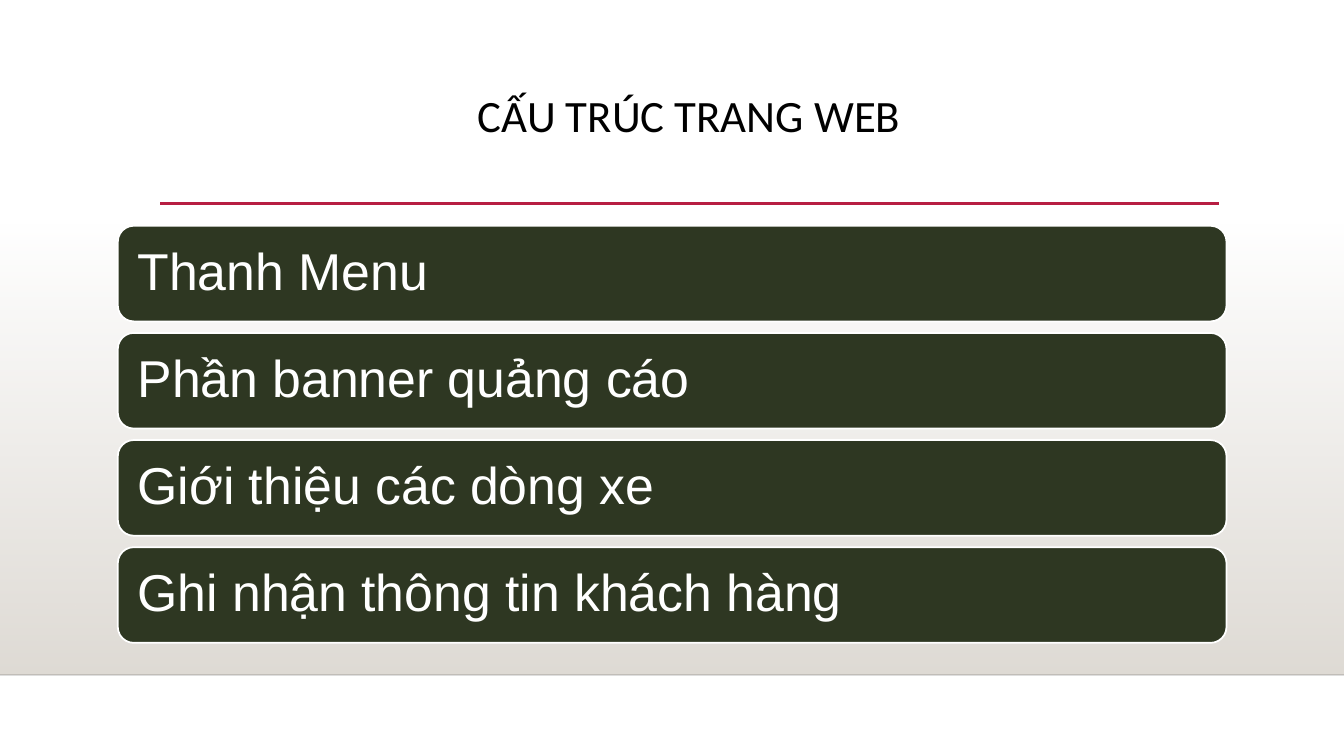
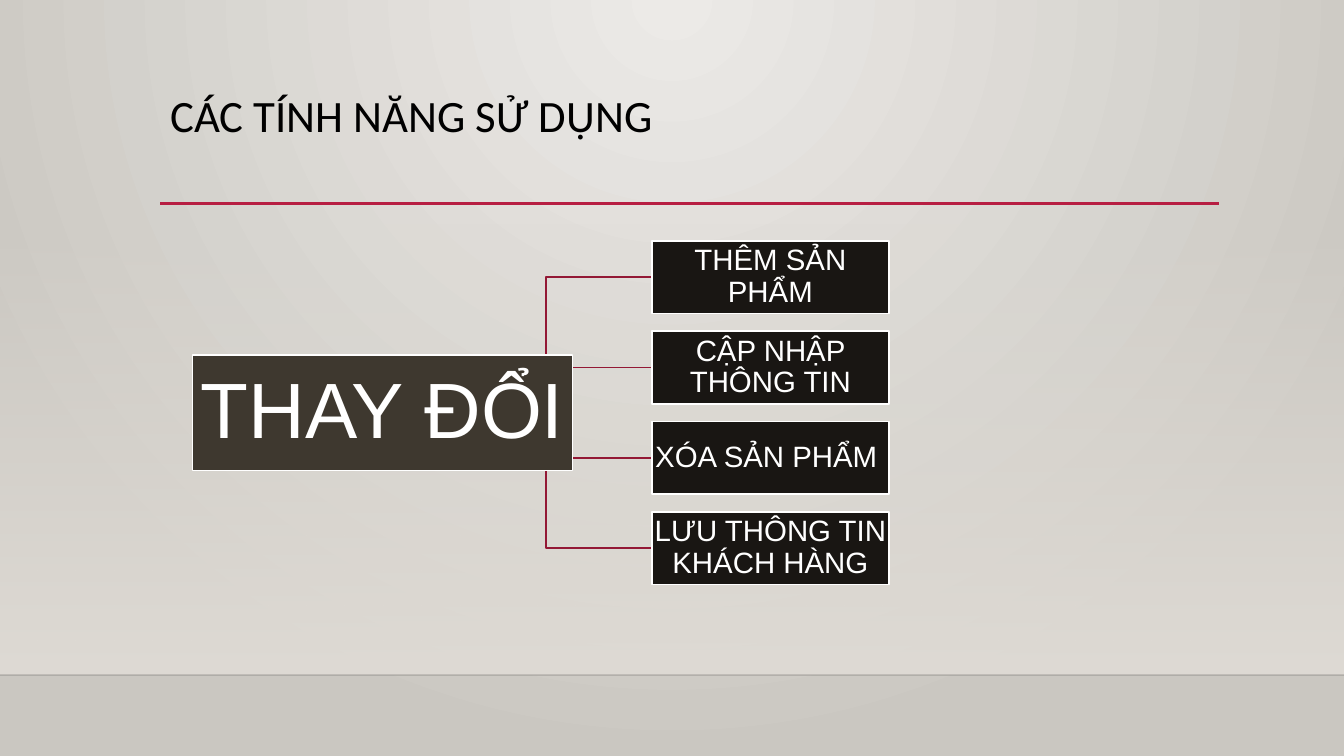
import pptx
import pptx.util
import pptx.dml.color
import pptx.enum.shapes
import pptx.enum.text
import lxml.etree
from pptx.util import Cm

COLORS = {
    "white": "FFFFFF",
    "black": "000000",
    "horizon": "000001",
    "floor": "DFDBD5",
    "accent": "B71E42",
    "branch": "931835",
    "bar": "2E3722",
    "root": "3E382F",
    "leaf": "191613",
    "glow": "ECEAE7",
    "edge": "CAC7C1",
}
SLIDE_WIDTH, SLIDE_HEIGHT = 33.87, 19.05
TITLE_BOX = (4.04, 2.24, 26.67, 2.92)
FLOOR_BOX = (0, 5.61, SLIDE_WIDTH, 11.4)
BARS_BOX = (2.97, 5.69, 27.94, 10.51)
TREE_BOX = (4.85, 6.07, 17.55, 8.66)

ALIGN = pptx.enum.text.PP_ALIGN
ANCHOR = pptx.enum.text.MSO_ANCHOR
SHAPE = pptx.enum.shapes.MSO_SHAPE
CONNECTOR = pptx.enum.shapes.MSO_CONNECTOR
A = "{http://schemas.openxmlformats.org/drawingml/2006/main}"


def rgb(name):
    return pptx.dml.color.RGBColor.from_string(COLORS[name])


def set_alpha(color, percent):
    lxml.etree.SubElement(color, A + "alpha", val=str(percent * 1000))


def set_gradient(fill, start, end):
    fill.gradient()
    for stop, name in zip(fill.gradient_stops, (start, end)):
        stop.color.rgb = rgb(name)


def write(frame, text, size, font="Arial", color="white", align=ALIGN.LEFT,
          anchor=ANCHOR.MIDDLE, inset=(0.25, 0.13)):
    frame.word_wrap = True
    frame.auto_size = pptx.enum.text.MSO_AUTO_SIZE.NONE
    frame.vertical_anchor = anchor
    frame.margin_left = frame.margin_right = Cm(inset[0])
    frame.margin_top = frame.margin_bottom = Cm(inset[1])
    paragraph = frame.paragraphs[0]
    paragraph.alignment = align
    paragraph.line_spacing = 0.9
    run = paragraph.add_run()
    run.text = text
    run.font.size = pptx.util.Pt(size)
    run.font.name = font
    run.font.color.rgb = rgb(color)


def add_line(slide, start, end, color, width, kind=CONNECTOR.STRAIGHT):
    line = slide.shapes.add_connector(kind, *map(Cm, start + end))
    line.line.color.rgb = rgb(color)
    line.line.width = pptx.util.Pt(width)
    lxml.etree.SubElement(line.element.spPr, A + "effectLst")
    return line


def add_block(slide, kind, box, fill, text, **text_format):
    block = slide.shapes.add_shape(kind, *map(Cm, box))
    block.shadow.inherit = False
    block.fill.solid()
    block.fill.fore_color.rgb = rgb(fill)
    block.line.color.rgb = rgb("white")
    block.line.width = pptx.util.Pt(1.25)
    write(block.text_frame, text, **text_format)


def add_floor(slide, box):
    left, top, width, height = box
    floor = slide.shapes.add_shape(SHAPE.RECTANGLE, *map(Cm, box))
    floor.shadow.inherit = False
    floor.line.fill.background()
    set_gradient(floor.fill, "floor", "floor")
    floor.fill.gradient_angle = 270
    set_alpha(floor.element.spPr.find(f".//{A}srgbClr"), 0)

    bottom = top + height
    horizon = add_line(slide, (left, bottom), (left + width, bottom), "horizon", 1)
    set_alpha(horizon.element.spPr.find(f".//{A}srgbClr"), 20)


def add_title(slide, box, text, align):
    left, top, width, height = box
    title = slide.shapes.title
    title.left, title.top, title.width, title.height = map(Cm, box)
    write(title.text_frame, text, size=32, font="Calibri", color="black",
          align=align, anchor=ANCHOR.TOP)
    underline = top + height - 0.03
    add_line(slide, (left, underline), (left + width, underline), "accent", 2.5)


def add_titled_slide(deck, title, align=ALIGN.LEFT):
    slide = deck.slides.add_slide(deck.slide_layouts[5])
    add_floor(slide, FLOOR_BOX)
    add_title(slide, TITLE_BOX, title, align)
    return slide


def set_glow_background(slide):
    set_gradient(slide.background.fill, "glow", "edge")
    linear = slide.element.find(f".//{A}lin")
    circle = lxml.etree.Element(A + "path", path="circle")
    lxml.etree.SubElement(circle, A + "fillToRect",
                          l="43000", t="0", r="43000", b="100000")
    linear.getparent().replace(linear, circle)


def split_rows(top, height, row_height, count):
    pitch = (height - row_height) / (count - 1)
    return [top + index * pitch for index in range(count)]


def add_bars(slide, box, sections):
    left, top, width, height = box
    bar_height = 2.41
    for bar_top, section in zip(split_rows(top, height, bar_height, len(sections)), sections):
        add_block(slide, SHAPE.ROUNDED_RECTANGLE, (left, bar_top, width, bar_height),
                  "bar", section, size=37, inset=(0.38, 0.38))


def add_tree(slide, box, root, leaves):
    left, top, width, height = box
    root_width, root_height = 9.58, 2.92
    leaf_width, leaf_height = 5.97, 1.83
    middle = top + height / 2
    leaf_left = left + width - leaf_width
    stem = (leaf_left - 5.33, middle)
    leaf_tops = split_rows(top, height, leaf_height, len(leaves))

    for leaf_top in leaf_tops:
        add_line(slide, stem, (leaf_left, leaf_top + leaf_height / 2),
                 "branch", 1.25, CONNECTOR.ELBOW)
    add_block(slide, SHAPE.RECTANGLE,
              (left, middle - root_height / 2, root_width, root_height),
              "root", root, size=56, align=ALIGN.CENTER, inset=(0.1, 0.1))
    for leaf_top, leaf in zip(leaf_tops, leaves):
        add_block(slide, SHAPE.RECTANGLE, (leaf_left, leaf_top, leaf_width, leaf_height),
                  "leaf", leaf, size=21, align=ALIGN.CENTER, inset=(0.03, 0.03))


def build_structure_slide(deck):
    slide = add_titled_slide(deck, "CẤU TRÚC TRANG WEB", ALIGN.CENTER)
    add_bars(slide, BARS_BOX, [
        "Thanh Menu",
        "Phần banner quảng cáo",
        "Giới thiệu các dòng xe",
        "Ghi nhận thông tin khách hàng",
    ])


def build_features_slide(deck):
    slide = add_titled_slide(deck, "CÁC TÍNH NĂNG SỬ DỤNG")
    set_glow_background(slide)
    add_tree(slide, TREE_BOX, "THAY ĐỔI", [
        "THÊM SẢN PHẨM",
        "CẬP NHẬP THÔNG TIN",
        "XÓA SẢN PHẨM ",
        "LƯU THÔNG TIN KHÁCH HÀNG",
    ])


def main():
    deck = pptx.Presentation()
    deck.slide_width, deck.slide_height = Cm(SLIDE_WIDTH), Cm(SLIDE_HEIGHT)
    build_structure_slide(deck)
    build_features_slide(deck)
    deck.save("out.pptx")


if __name__ == "__main__":
    main()
